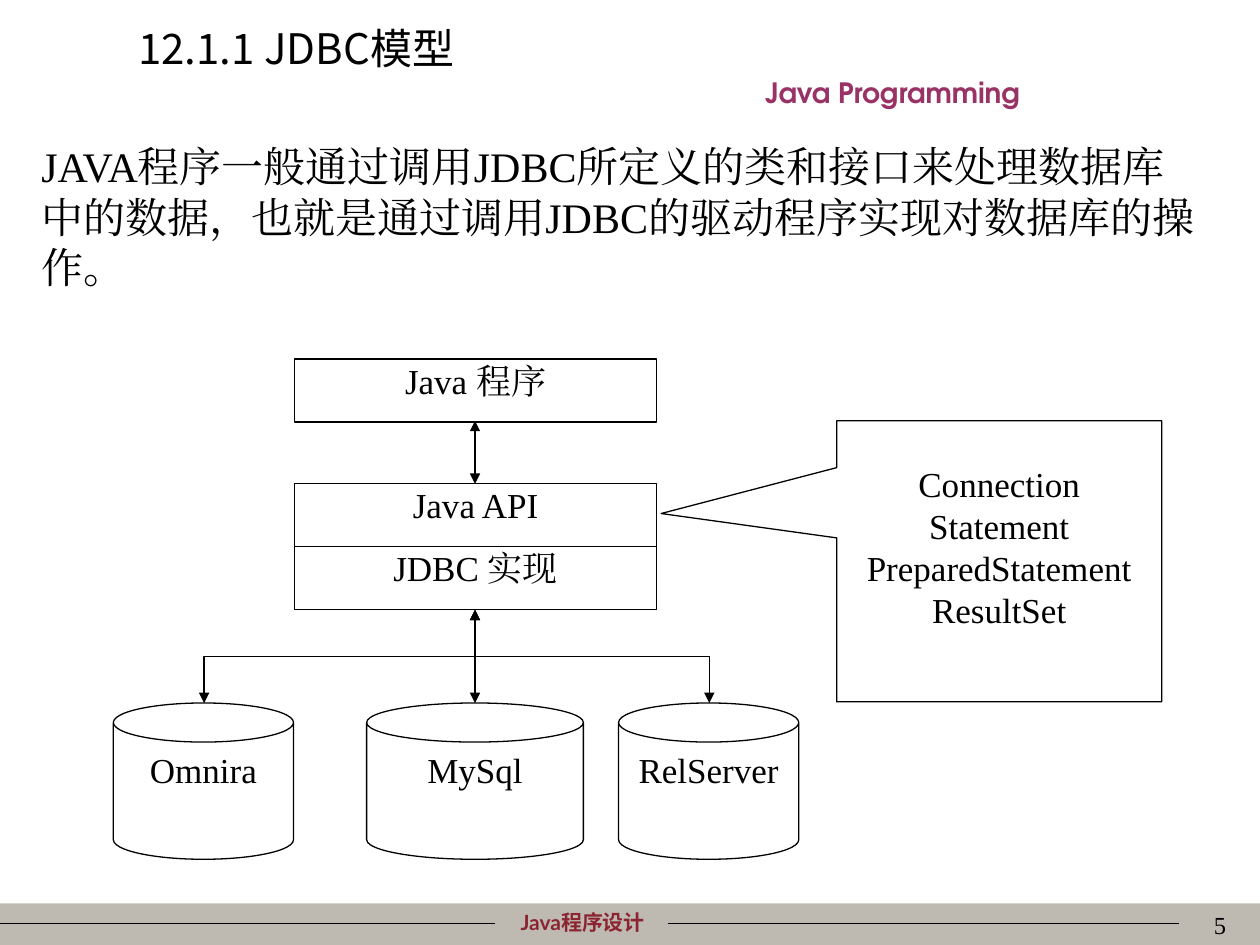
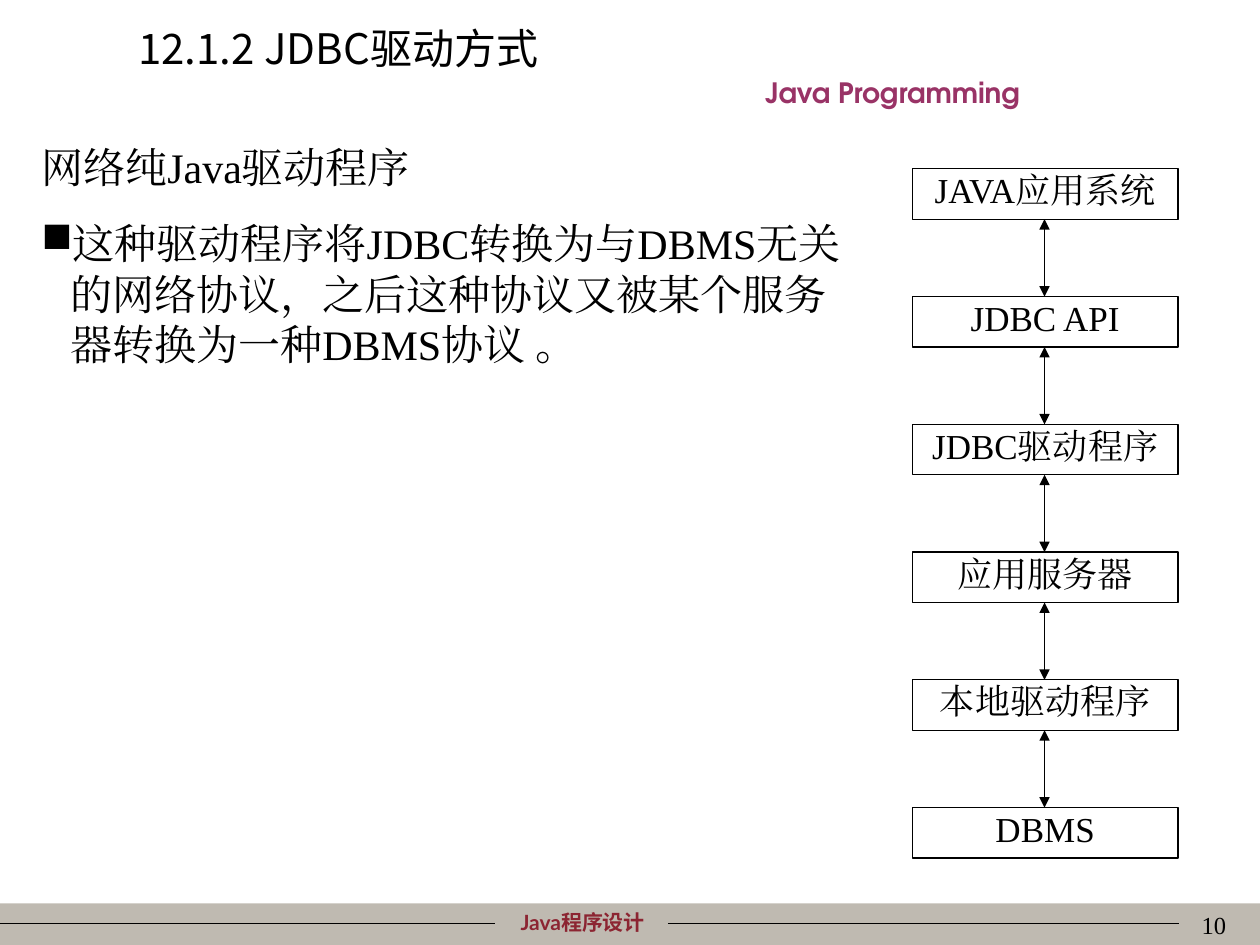
"""Build two slides on the JDBC model and the JDBC driver types."""
from lxml.etree import SubElement
from pptx import Presentation
from pptx.dml.color import RGBColor
from pptx.enum.shapes import MSO_CONNECTOR as Connector, MSO_SHAPE as Shape
from pptx.enum.text import MSO_ANCHOR as Anchor, PP_ALIGN as Align
from pptx.oxml.ns import qn
from pptx.util import Inches, Pt

BLACK, WHITE, BAND, CRIMSON, PLUM = "000000", "FFFFFF", "BFBAB1", "8C2532", "993366"
SERIF = "Times New Roman"
hex_color = RGBColor.from_string


def write_text(shape, lines, size, font=SERIF, color=BLACK, bold=False,
               align=Align.CENTER, insets=(0.1, 0.05), bulleted=(), gap=0):
    frame = shape.text_frame
    frame.word_wrap = True
    frame.vertical_anchor = Anchor.TOP
    frame.margin_left = frame.margin_right = Inches(insets[0])
    frame.margin_top = frame.margin_bottom = Inches(insets[1])
    for index, line in enumerate(lines):
        paragraph = frame.add_paragraph() if index else frame.paragraphs[0]
        if index in bulleted:
            properties = paragraph._p.get_or_add_pPr()
            properties.set("marL", str(Inches(0.23)))
            properties.set("indent", str(-Inches(0.23)))
            bullet_color = SubElement(properties, qn("a:buClr"))
            SubElement(bullet_color, qn("a:srgbClr"), val=BLACK)
            SubElement(properties, qn("a:buChar"), char="■")
        paragraph.alignment = align
        if index and gap:
            paragraph.space_before = Pt(gap)
        if font == SERIF:
            paragraph.line_spacing = Pt(size * 1.2)
        run = paragraph.add_run()
        run.text = line
        run.font.size = Pt(size)
        run.font.bold = bold
        run.font.color.rgb = hex_color(color)
        run.font.name = font
        SubElement(run._r.get_or_add_rPr(), qn("a:ea"), typeface=font)


def draw_line(slide, start, end, arrows=True, kind=Connector.STRAIGHT):
    line = slide.shapes.add_connector(kind, *map(Inches, (*start, *end)))
    line.line.color.rgb = hex_color(BLACK)
    line.line.width = Pt(0.75)
    if arrows:
        outline = line.line._get_or_add_ln()
        for tag in ("a:headEnd", "a:tailEnd"):
            SubElement(outline, qn(tag), type="triangle")
    SubElement(line._element.spPr, qn("a:effectLst"))
    return line


presentation = Presentation()
presentation.slide_width, presentation.slide_height = Inches(10), Inches(7.5)

slides = []
for title, page in (("12.1.1 JDBC模型", "5"), ("12.1.2 JDBC驱动方式", "10")):
    slide = presentation.slides.add_slide(presentation.slide_layouts[6])
    slides.append(slide)
    band = slide.shapes.add_shape(Shape.RECTANGLE, 0, Inches(7.17), Inches(10), Inches(0.33))
    band.shadow.inherit = False
    band.fill.solid()
    band.fill.fore_color.rgb = hex_color(BAND)
    band.line.fill.background()
    for left, right in ((0, 3.93), (5.3, 9.36)):
        draw_line(slide, (left, 7.33), (right, 7.33), arrows=False)
    for text, place, size, font, color, bold, align in (
        ("Java程序设计", (3.62, 7.17, 2.01, 0.3), 12, "Lato", CRIMSON, True, Align.CENTER),
        ("Java Programming", (5.08, 0.55, 4.01, 0.37), 16, "TeX Gyre Adventor", PLUM, True, Align.CENTER),
        (page, (7.75, 7.17, 2.08, 0.5), 14, SERIF, BLACK, False, Align.RIGHT),
        (title, (1, 0.13, 3.8, 0.9), 24, "Noto Sans CJK SC", BLACK, False, Align.LEFT),
    ):
        textbox = slide.shapes.add_textbox(*map(Inches, place))
        write_text(textbox, [text], size, font, color, bold, align)

model_slide, driver_slide = slides

for slide, width, height, lines in (
    (model_slide, 9.35, 1.3,
     ["JAVA程序一般通过调用JDBC所定义的类和接口来处理数据库中的数据，也就是通过调用JDBC的驱动程序实现对数据库的操作。"]),
    (driver_slide, 6.61, 2.52,
     ["网络纯Java驱动程序",
      "这种驱动程序将JDBC转换为与DBMS无关的网络协议，之后这种协议又被某个服务器转换为一种DBMS协议 。"]),
):
    body = slide.shapes.add_textbox(Inches(0.23), Inches(1.07), Inches(width), Inches(height))
    write_text(body, lines, 24, align=Align.LEFT, bulleted=(1,), gap=15)

driver_layers = ["JAVA应用系统", "JDBC API", "JDBC驱动程序", "应用服务器", "本地驱动程序", "DBMS"]
layer_top, layer_pitch, layer_height = 1.34, 1.014, 0.4
classes = ["Connection", "Statement", "PreparedStatement", "ResultSet"]

nodes = [
    (model_slide, Shape.RECTANGLE, ["Java 程序"], (2.34, 2.85, 2.87, 0.5), (0, 0)),
    (model_slide, Shape.RECTANGLE, ["Java API"], (2.34, 3.84, 2.87, 0.5), (0, 0)),
    (model_slide, Shape.RECTANGLE, ["JDBC 实现"], (2.34, 4.34, 2.87, 0.5), (0, 0)),
    (model_slide, Shape.RECTANGULAR_CALLOUT, classes, (6.64, 3.34, 2.58, 2.23), (0, 0.33)),
    (model_slide, Shape.CAN, ["Omnira"], (0.9, 5.58, 1.43, 1.24), (0.1, 0.05)),
    (model_slide, Shape.CAN, ["MySql"], (2.91, 5.58, 1.72, 1.24), (0.1, 0.05)),
    (model_slide, Shape.CAN, ["RelServer"], (4.91, 5.58, 1.43, 1.24), (0, 0.05)),
]
for index, layer in enumerate(driver_layers):
    place = (7.24, layer_top + index * layer_pitch, 2.11, layer_height)
    nodes.append((driver_slide, Shape.RECTANGLE, [layer], place, (0, 0)))

for slide, kind, lines, place, insets in nodes:
    node = slide.shapes.add_shape(kind, *map(Inches, place))
    node.shadow.inherit = False
    node.fill.solid()
    node.fill.fore_color.rgb = hex_color(WHITE)
    node.line.color.rgb = hex_color(BLACK)
    node.line.width = Pt(0.75)
    if kind == Shape.RECTANGULAR_CALLOUT:
        node.adjustments[0], node.adjustments[1] = -1.04, -0.17
    write_text(node, lines, 20, insets=insets)

trunk, fork_top, can_top = 3.77, 4.84, 5.58
draw_line(model_slide, (trunk, 3.34), (trunk, 3.84))
draw_line(model_slide, (trunk, fork_top), (trunk, can_top))
for can_center, side, turn in ((1.62, 1, 90), (5.63, -1, 270)):
    center_x, center_y = (trunk + can_center) / 2, (fork_top + can_top) / 2
    reach = side * (can_top - fork_top) / 2
    span = abs(trunk - can_center) / 2
    elbow = draw_line(model_slide, (center_x - reach, center_y - span),
                      (center_x + reach, center_y + span), kind=Connector.ELBOW)
    elbow._element.spPr.find(qn("a:xfrm")).set("rot", str(turn * 60000))

for index in range(len(driver_layers) - 1):
    top = layer_top + index * layer_pitch
    draw_line(driver_slide, (8.29, top + layer_height), (8.29, top + layer_pitch))

presentation.save("out.pptx")
